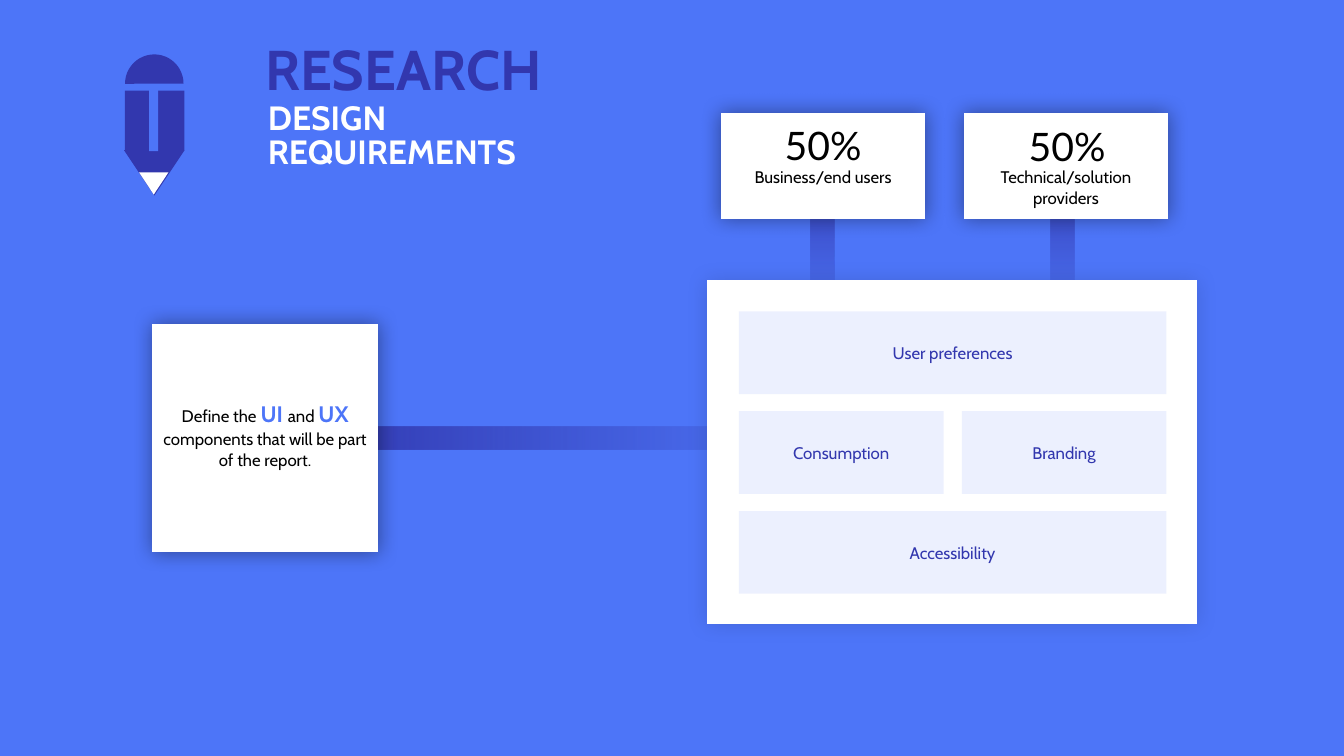
from dataclasses import dataclass

from lxml import etree
from pptx import Presentation
from pptx.dml.color import RGBColor
from pptx.enum.shapes import MSO_SHAPE
from pptx.enum.text import MSO_ANCHOR, PP_ALIGN
from pptx.oxml.ns import qn
from pptx.shapes.autoshape import Shape
from pptx.slide import Slide
from pptx.text.text import Font
from pptx.util import Emu, Inches, Pt

BLUE = RGBColor(0x4D, 0x75, 0xF8)
INDIGO = RGBColor(0x32, 0x37, 0xAE)
WHITE = RGBColor(0xFF, 0xFF, 0xFF)
BLACK = RGBColor(0x00, 0x00, 0x00)

PROCESS = MSO_SHAPE.FLOWCHART_PROCESS
RECTANGLE = MSO_SHAPE.RECTANGLE
TRIANGLE = MSO_SHAPE.ISOSCELES_TRIANGLE
CHORD = MSO_SHAPE.CHORD
MIDDLE, TOP = MSO_ANCHOR.MIDDLE, MSO_ANCHOR.TOP
CENTER, LEFT = PP_ALIGN.CENTER, PP_ALIGN.LEFT

SLIDE_WIDTH, SLIDE_HEIGHT = Inches(13.33), Inches(7.5)
LINE_PITCH = Pt(15)


@dataclass(frozen=True)
class Box:
    """Percentages of the slide's width and height."""
    left: float
    top: float
    width: float
    height: float

    def lengths(self) -> tuple[Emu, Emu, Emu, Emu]:
        across, down = SLIDE_WIDTH / 100, SLIDE_HEIGHT / 100
        return (Emu(round(self.left * across)), Emu(round(self.top * down)),
                Emu(round(self.width * across)), Emu(round(self.height * down)))


@dataclass(frozen=True)
class Span:
    text: str
    size: int = 12
    color: RGBColor = BLACK
    bold: bool = False
    face: str = "Cabin"


@dataclass(frozen=True)
class Card:
    box: Box
    share_box: Box
    label: str
    lines_above: int


@dataclass(frozen=True)
class Tile:
    label: str
    column: int
    row: int
    columns: int = 1


@dataclass(frozen=True)
class PencilPart:
    kind: MSO_SHAPE
    box: Box
    color: RGBColor
    rotation: int = 0


CARD_WIDTH = 15.23
CARDS = (
    Card(Box(53.63, 14.93, CARD_WIDTH, 14), Box(53.63, 15.33, CARD_WIDTH, 7.6),
         "Business/end users", 1),
    Card(Box(71.7, 14.93, CARD_WIDTH, 14), Box(71.78, 15.47, CARD_WIDTH, 7.6),
         "Technical/solution providers", 2),
)

FIRST_TILE = Box(54.98, 41.2, 15.23, 10.93)
TILE_COLUMN, TILE_ROW = 16.58, 13.2
TILES = (
    Tile("User preferences", 0, 0, 2),
    Tile("Consumption", 0, 1),
    Tile("Branding", 1, 1),
    Tile("Accessibility", 0, 2, 2),
)

PENCIL = (
    PencilPart(TRIANGLE, Box(9.23, 19.87, 4.5, 6), INDIGO, 180),
    PencilPart(RECTANGLE, Box(9.3, 12, 4.43, 7.87), INDIGO),
    PencilPart(CHORD, Box(9.3, 7.2, 4.35, 7.73), INDIGO, 90),
    PencilPart(RECTANGLE, Box(11.1, 11.87, 0.68, 8.13), BLUE),
    PencilPart(TRIANGLE, Box(10.35, 22.8, 2.18, 2.93), WHITE, 180),
)

HEADINGS = (
    (Box(19.2, 12.4, 16.8, 6.13), Span("DESIGN", 24, WHITE, True)),
    (Box(19.2, 17.33, 21.75, 5.33), Span("REQUIREMENTS", 24, WHITE, True)),
    (Box(18.98, 0.4, 25.28, 17.2), Span("RESEARCH", 40, INDIGO, True)),
)

BRIEF = (
    Span("Define the "),
    Span("UI ", 16, BLUE, True),
    Span("and "),
    Span("UX", 16, BLUE, True),
    Span(" components that will be part of the report."),
)


def set_alpha(color: etree._Element, percent: int) -> None:
    etree.SubElement(color, qn("a:alpha"), val=str(percent * 1000))


def add_shape(page: Slide, kind: MSO_SHAPE, box: Box, color: RGBColor,
              rotation: int = 0) -> Shape:
    shape = page.shapes.add_shape(kind, *box.lengths())
    shape.shadow.inherit = False
    shape.fill.solid()
    shape.fill.fore_color.rgb = color
    shape.line.fill.background()
    shape.rotation = rotation
    return shape


def add_glow(shape: Shape, opacity: int) -> None:
    effects = shape._element.spPr.find(qn("a:effectLst"))
    shadow = etree.SubElement(effects, qn("a:outerShdw"), blurRad=str(Pt(15)),
                              dist="0", dir="0", algn="ctr", rotWithShape="0")
    set_alpha(etree.SubElement(shadow, qn("a:srgbClr"), val=str(BLACK)), opacity)


def add_bar(page: Slide, box: Box, rotation: int = 0) -> None:
    bar = add_shape(page, PROCESS, box, INDIGO, rotation)
    bar.fill.gradient()
    bar.fill.gradient_angle = 0
    for stop, position in zip(bar.fill.gradient_stops, (0.2, 1)):
        stop.position = position
        stop.color.rgb = INDIGO
    set_alpha(list(bar._element.spPr.iter(qn("a:srgbClr")))[-1], 20)


def set_font(font: Font, span: Span) -> None:
    font.name, font.size, font.bold = span.face, Pt(span.size), span.bold
    font.color.rgb = span.color


def write(shape: Shape, spans: tuple[Span, ...], align: PP_ALIGN = CENTER,
          anchor: MSO_ANCHOR = MIDDLE, pitch: Pt | None = LINE_PITCH) -> None:
    frame = shape.text_frame
    frame.word_wrap = True
    frame.vertical_anchor = anchor
    para = frame.paragraphs[0]
    para.alignment = align
    para.line_spacing = pitch
    if len(spans) == 1:
        set_font(para.font, spans[0])
    for span in spans:
        run = para.add_run()
        run.text = span.text
        set_font(run.font, span)


def add_tile(page: Slide, tile: Tile) -> None:
    box = Box(FIRST_TILE.left + tile.column * TILE_COLUMN,
              FIRST_TILE.top + tile.row * TILE_ROW,
              FIRST_TILE.width + (tile.columns - 1) * TILE_COLUMN,
              FIRST_TILE.height)
    shape = add_shape(page, PROCESS, box, BLUE)
    set_alpha(shape._element.spPr.find(".//" + qn("a:srgbClr")), 10)
    write(shape, (Span(tile.label, color=INDIGO),))


def add_card(page: Slide, card: Card) -> None:
    shape = add_shape(page, PROCESS, card.box, WHITE)
    add_glow(shape, 40)
    shape.text_frame.margin_top += card.lines_above * LINE_PITCH
    write(shape, (Span(card.label),))
    share = page.shapes.add_textbox(*card.share_box.lengths())
    write(share, (Span("50%", 28, face="Lato"),), anchor=TOP, pitch=None)


def main() -> None:
    deck = Presentation()
    deck.slide_width, deck.slide_height = SLIDE_WIDTH, SLIDE_HEIGHT
    page = deck.slides.add_slide(deck.slide_layouts[6])
    page.background.fill.solid()
    page.background.fill.fore_color.rgb = BLUE

    for left in (55.13, 72.98):
        add_bar(page, Box(left, 24.93, 12.15, 3.07), 90)
    add_bar(page, Box(13.73, 56.4, 38.93, 3.07))

    brief = add_shape(page, PROCESS, Box(11.33, 42.8, 16.8, 30.27), WHITE)
    add_glow(brief, 40)
    write(brief, BRIEF)

    panel = add_shape(page, PROCESS, Box(52.58, 37.07, 36.45, 45.47), WHITE)
    add_glow(panel, 13)
    for tile in TILES:
        add_tile(page, tile)
    for card in CARDS:
        add_card(page, card)

    for part in PENCIL:
        shape = add_shape(page, part.kind, part.box, part.color, part.rotation)
        if part.kind == CHORD:
            shape.adjustments[0], shape.adjustments[1] = 53.8, 162
    for box, span in HEADINGS:
        write(page.shapes.add_textbox(*box.lengths()), (span,), LEFT, pitch=None)

    deck.save("out.pptx")


if __name__ == "__main__":
    main()
